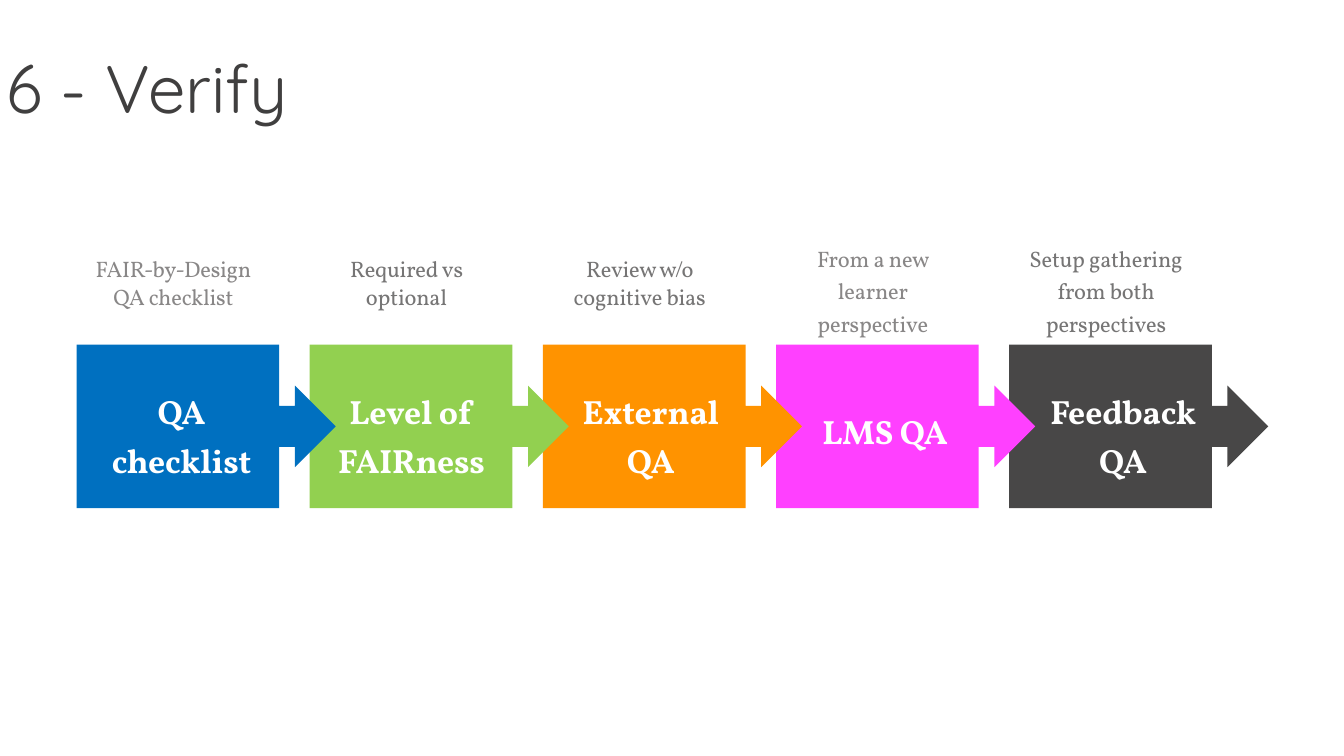
from collections import namedtuple

from pptx import Presentation
from pptx.dml.color import RGBColor
from pptx.enum.shapes import MSO_SHAPE
from pptx.enum.text import MSO_ANCHOR, MSO_AUTO_SIZE as AutoSize, PP_ALIGN
from pptx.util import Inches, Pt

SLIDE_WIDTH, SLIDE_HEIGHT = 13.33, 7.5
Box = namedtuple("Box", "left top width height")
Step = namedtuple("Step", "label indent label_width lines fill note note_lines note_spacing note_color")

STEPS = [
    Step("QA checklist", 0.2, 1.68, 2, "0070C0",
         "FAIR-by-Design QA checklist", 2, 1.07, "898787"),
    Step("Level of FAIRness", 0.13, 1.76, 2, "92D050",
         "Required vs optional", 2, 1.07, "767575"),
    Step("External QA", 0.23, 1.68, 2, "FF9300",
         "Review w/o cognitive bias", 2, 1.07, "767575"),
    Step("LMS QA", 0.24, 1.68, 1, "FF40FF",
         "From a new learner perspective", 3, 1.2, "898787"),
    Step("Feedback QA", 0.25, 1.76, 2, "484747",
         "Setup gathering from both perspectives", 3, 1.2, "767575"),
]
LABEL_ROWS = {1: (0.53, 0.5), 2: (0.33, 0.91)}
NOTE_ROWS = {2: (0.13, 0.66), 3: (0, 1.05)}


def color(value):
    return RGBColor.from_string(value)


def place(shape, box):
    shape.left, shape.top, shape.width, shape.height = map(Inches, box)


def write(shape, text, *, size, font, fill, bold=False, align=PP_ALIGN.LEFT,
          spacing=None, tracking=None, inset=None, auto_size=AutoSize.SHAPE_TO_FIT_TEXT):
    frame = shape.text_frame
    frame.word_wrap = True
    frame.auto_size = auto_size
    frame.vertical_anchor = MSO_ANCHOR.TOP
    if inset is not None:
        frame.margin_left = frame.margin_right = Inches(inset)
        frame.margin_top = frame.margin_bottom = Inches(inset)
    paragraph = frame.paragraphs[0]
    paragraph.alignment = align
    if spacing:
        paragraph.line_spacing = spacing
    run = paragraph.add_run()
    run.text = text
    run.font.size = Pt(size)
    run.font.name = font
    run.font.bold = bold
    run.font.color.rgb = color(fill)
    if tracking is not None:
        run.font._element.set("spc", str(round(tracking * 100)))


def add_text(slide, box, text, **style):
    shape = slide.shapes.add_textbox(*map(Inches, box))
    write(shape, text, font="Vollkorn", align=PP_ALIGN.CENTER, tracking=-0.1, **style)


def add_title(slide, box, text):
    title = slide.shapes.title
    place(title, box)
    write(title, text, size=48, font="Quicksand", fill="403F3F",
          inset=0.06, auto_size=AutoSize.NONE)


def add_callout(slide, box, fill):
    callout = slide.shapes.add_shape(MSO_SHAPE.RIGHT_ARROW_CALLOUT, *map(Inches, box))
    for index, value in enumerate((0.25, 0.25, 0.25, 0.782)):
        callout.adjustments[index] = value
    callout.fill.solid()
    callout.fill.fore_color.rgb = color(fill)
    callout.line.fill.background()
    callout.shadow.inherit = False


def add_process(slide, box, steps):
    callout_width, callout_height, note_width = 2.57, 1.62, 1.92
    callout_top = box.top + box.height - callout_height
    pitch = (box.width - callout_width) / (len(steps) - 1)
    columns = [(box.left + index * pitch, step) for index, step in enumerate(steps)]

    for left, step in reversed(columns):
        add_callout(slide, Box(left, callout_top, callout_width, callout_height), step.fill)

    for left, step in columns:
        offset, height = LABEL_ROWS[step.lines]
        add_text(slide, Box(left + step.indent, callout_top + offset, step.label_width, height),
                 step.label, size=24, fill="FFFFFF", bold=True, spacing=1.2)
        offset, height = NOTE_ROWS[step.note_lines]
        add_text(slide, Box(left, box.top + offset, note_width, height),
                 step.note, size=16, fill=step.note_color, spacing=step.note_spacing)


def main():
    presentation = Presentation()
    presentation.slide_width = Inches(SLIDE_WIDTH)
    presentation.slide_height = Inches(SLIDE_HEIGHT)
    slide = presentation.slides.add_slide(presentation.slide_layouts.get_by_name("Title Only"))
    add_title(slide, Box(0, 0.4, 11.5, 1.45), "6 - Verify")
    add_process(slide, Box(0.76, 2.33, 11.82, 2.71), STEPS)
    presentation.save("out.pptx")


if __name__ == "__main__":
    main()
